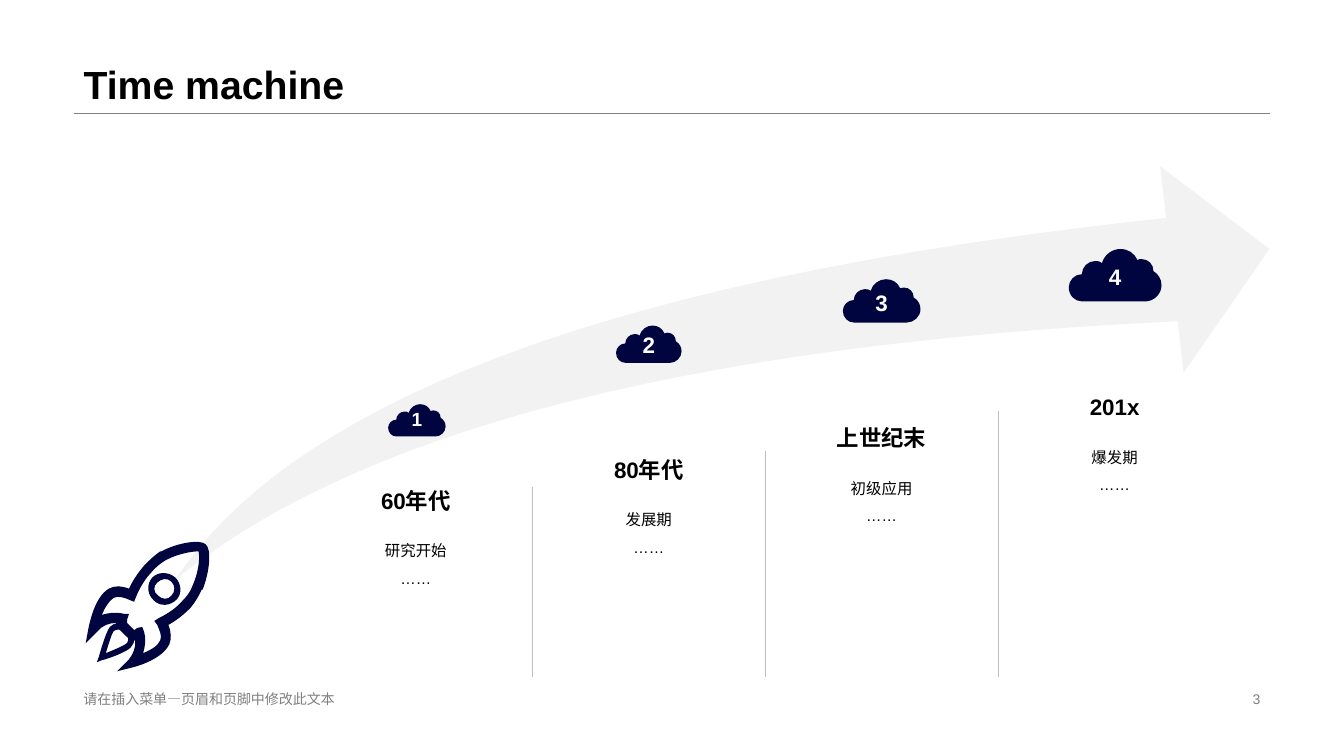
from collections import namedtuple
from itertools import islice

from lxml.etree import SubElement
from pptx import Presentation
from pptx.dml.color import RGBColor
from pptx.enum.shapes import MSO_CONNECTOR, MSO_SHAPE
from pptx.enum.text import MSO_ANCHOR, MSO_AUTO_SIZE, PP_ALIGN
from pptx.oxml.ns import qn
from pptx.util import Pt

PX = 9144  # EMU per px, 100 px to the inch
FONT = "Arial"
COLORS = {
    "navy": "00053F",
    "swoosh": "F2F2F2",
    "divider": "BFBFBF",
    "gray": "808080",
    "black": "000000",
    "white": "FFFFFF",
}
Box = namedtuple("Box", "left top width height")

# Outlines: a start point, then lines (one point) or Bezier curves (three points)
CLOUD_SIZE = (92, 52)
CLOUD = [
    "84 22; 84 15 79 10 72 10; 71 10 69 10 68 11; 65 4 59 0 51 0; 43 0 35 6 33 14;"
    "31 12 29 12 26 12; 19 12 13 18 13 25; 6 25 0 31 0 38; 0 46 6 52 13 52; 76 52;"
    "84 52 92 45 92 36; 92 30 89 25 84 22"
]
ROCKET_SIZE = (125, 131)
ROCKET_BODY = [
    "0 103; 3 87; 4 83 9 57 23 49; 28 46 35 46 43 49; 47 40 53 32 58 26;"
    "63 21 68 16 74 12; 75 12; 92 3 114 0 119 5; 125 10 123 32 116 50; 115 50;"
    "112 57 108 63 104 68; 98 74 91 80 82 85; 85 92 85 99 83 104;"
    "76 119 51 126 47 127; 31 131; 43 119; 47 114 50 107 49 100; 46 102; 43 99;"
    "40 96 36 92 32 88; 29 86; 30 83; 23 83 16 86 12 91",
    "79 21; 74 24 69 28 65 33; 60 38 54 47 50 57; 48 62; 43 60; 39 58 32 56 28 58;"
    "23 61 19 68 16 75; 23 73 30 72 38 74; 43 74; 41 80; 41 81 41 82 41 83;"
    "43 85 46 88 48 90; 49 90 50 89 51 88; 56 87; 58 92; 60 99 59 106 57 113;"
    "64 110 72 106 74 100; 76 96 73 90 71 85; 68 81; 73 78; 83 73 91 67 96 61;"
    "100 57 104 52 106 46; 113 30 113 17 112 12; 108 12 94 13 79 21",
]
ROCKET_WINDOW = [
    "68 61; 61 55 60 45 66 38; 72 32 82 32 89 38; 95 44 96 54 90 60; 84 66 74 67 68 61",
    "85 42; 81 38 75 39 71 43; 67 46 67 53 72 56; 76 60 82 60 85 56; 89 52 89 46 85 42",
]
ROCKET_FLAME = [
    "11 122; 13 117; 14 113 20 92 24 87; 28 82 37 82 43 88; 49 93 50 102 45 107;"
    "41 112 21 119 16 120",
    "39 92; 35 89 31 89 28 91; 26 93 23 103 20 113; 30 109 39 105 41 103;"
    "43 100 43 95 39 92",
]

ERAS = [("60年代", "研究开始"), ("80年代", "发展期"), ("上世纪末", "初级应用"), ("201x", "爆发期")]
# Box, text size and line spacing of each numbered cloud
CLOUDS = [
    (Box(385, 401, 57, 32), 13.6, 0.9),
    (Box(611, 323, 65, 37), 16, 1.0),
    (Box(836, 277, 77, 43), 16, 1.1),
    (Box(1060, 247, 92, 52), 16, 1.1),
]
DIVIDER_TOPS = [483, 447, 408]


def emu(*lengths):
    return [round(length * PX) for length in lengths]


def color(name):
    return RGBColor.from_string(COLORS[name])


def write(shape, *lines, size, ink="black", bold=False, align=PP_ALIGN.LEFT,
          anchor=MSO_ANCHOR.MIDDLE, spacing=1.0):
    frame = shape.text_frame
    frame.word_wrap = True
    frame.auto_size = MSO_AUTO_SIZE.NONE
    frame.vertical_anchor = anchor
    frame.text = "\n".join(lines)
    for para in frame.paragraphs:
        para.alignment = align
        para.line_spacing = spacing
        para.space_before = Pt(0)
        font = para.runs[0].font
        font.name, font.size, font.bold = FONT, Pt(size), bold
        font.color.rgb = color(ink)


def add_text(page, box, *lines, **style):
    write(page.shapes.add_textbox(*emu(*box)), *lines, **style)


def add_line(page, start, end, ink):
    line = page.shapes.add_connector(MSO_CONNECTOR.STRAIGHT, *emu(*start, *end))
    line.line.color.rgb = color(ink)
    line.line.width = Pt(0.25)
    SubElement(line._element.spPr, qn("a:effectLst"))


def paint(shape, fill):
    shape.shadow.inherit = False
    shape.fill.solid()
    shape.fill.fore_color.rgb = color(fill)
    shape.line.fill.background()


def read_segments(outline):
    """Split an outline into its segments, each a list of points."""
    segments = []
    for segment in outline.split(";"):
        numbers = [int(number) for number in segment.split()]
        segments.append(list(zip(numbers[::2], numbers[1::2])))
    return segments


def bend(shape, segments):
    """Join the lines of each three-point segment into one Bezier curve."""
    lines = iter(list(shape._element.iter(qn("a:lnTo"))))
    for segment in segments:
        parts = list(islice(lines, len(segment)))
        if len(parts) == 3:
            outline = parts[0].getparent()
            curve = SubElement(outline, qn("a:cubicBezTo"))
            parts[0].addprevious(curve)
            for part in parts:
                curve.append(part[0])
                outline.remove(part)


def add_outline(page, box, size, outlines, fill):
    scale_x, scale_y = box.width / size[0], box.height / size[1]
    contours = [read_segments(outline) for outline in outlines]
    builder = None
    for contour in contours:
        start, *rest = [emu(box.left + x * scale_x, box.top + y * scale_y)
                        for segment in contour for x, y in segment]
        if builder is None:
            builder = page.shapes.build_freeform(*start)
        else:
            builder.move_to(*start)
        builder.add_line_segments(rest, close=True)
    shape = builder.convert_to_shape()
    bend(shape, [segment for contour in contours for segment in contour[1:]])
    paint(shape, fill)
    return shape


def add_header(page, box):
    title = page.shapes.title
    title.left, title.top, title.width, title.height = emu(*box)
    write(title, "Time machine", size=28, bold=True, anchor=MSO_ANCHOR.BOTTOM, spacing=0.9)
    bottom = box.top + box.height
    add_line(page, (box.left, bottom), (box.left + box.width, bottom), "gray")


def add_footer(page, box):
    number_width = 318
    add_text(page, box._replace(width=453), "请在插入菜单—页眉和页脚中修改此文本", size=10, ink="gray")
    add_text(page, box._replace(left=box.left + box.width - number_width, width=number_width),
             "3", size=10, ink="gray", align=PP_ALIGN.RIGHT)


def add_swoosh(page, box):
    swoosh = page.shapes.add_shape(MSO_SHAPE.SWOOSH_ARROW, *emu(*box))
    swoosh.adjustments[0] = swoosh.adjustments[1] = 0.25
    paint(swoosh, "swoosh")


def add_rocket(page, box):
    for part in (ROCKET_BODY, ROCKET_WINDOW, ROCKET_FLAME):
        add_outline(page, box, ROCKET_SIZE, part, "navy")


def add_cloud(page, box, number, size, spacing):
    cloud = add_outline(page, box, CLOUD_SIZE, CLOUD, "navy")
    frame = cloud.text_frame
    frame.margin_left = frame.margin_right = frame.margin_top = frame.margin_bottom = 0
    write(cloud, str(number), size=size, ink="white", bold=True,
          align=PP_ALIGN.CENTER, spacing=spacing)


def add_era(page, box, heading, stage):
    heading_height = 53
    add_text(page, box._replace(height=heading_height), heading,
             size=16, bold=True, align=PP_ALIGN.CENTER)
    add_text(page, box._replace(top=box.top + heading_height, height=box.height - heading_height),
             stage, "……", size=11, align=PP_ALIGN.CENTER, anchor=MSO_ANCHOR.TOP, spacing=1.5)


def add_timeline(page, box):
    step, rise = 231, 31
    for index, era in enumerate(ERAS):
        left = box.left + index * step
        add_era(page, Box(left, box.top - index * rise, 203, 203), *era)
        cloud_box, size, spacing = CLOUDS[index]
        add_cloud(page, cloud_box, index + 1, size, spacing)
    for index, top in enumerate(DIVIDER_TOPS):
        x = box.left + 217 + index * step
        add_line(page, (x, top), (x, box.top + box.height), "divider")


def main():
    deck = Presentation()
    deck.slide_width, deck.slide_height = emu(1333, 750)
    page = deck.slides.add_slide(deck.slide_layouts[5])
    add_header(page, Box(73, 0, 1187, 112))
    add_footer(page, Box(73, 682, 1187, 23))
    add_swoosh(page, Box(174, 165, 1085, 410))
    add_rocket(page, Box(85, 535, *ROCKET_SIZE))
    add_timeline(page, Box(311, 470, 896, 202))
    deck.save("out.pptx")


if __name__ == "__main__":
    main()
